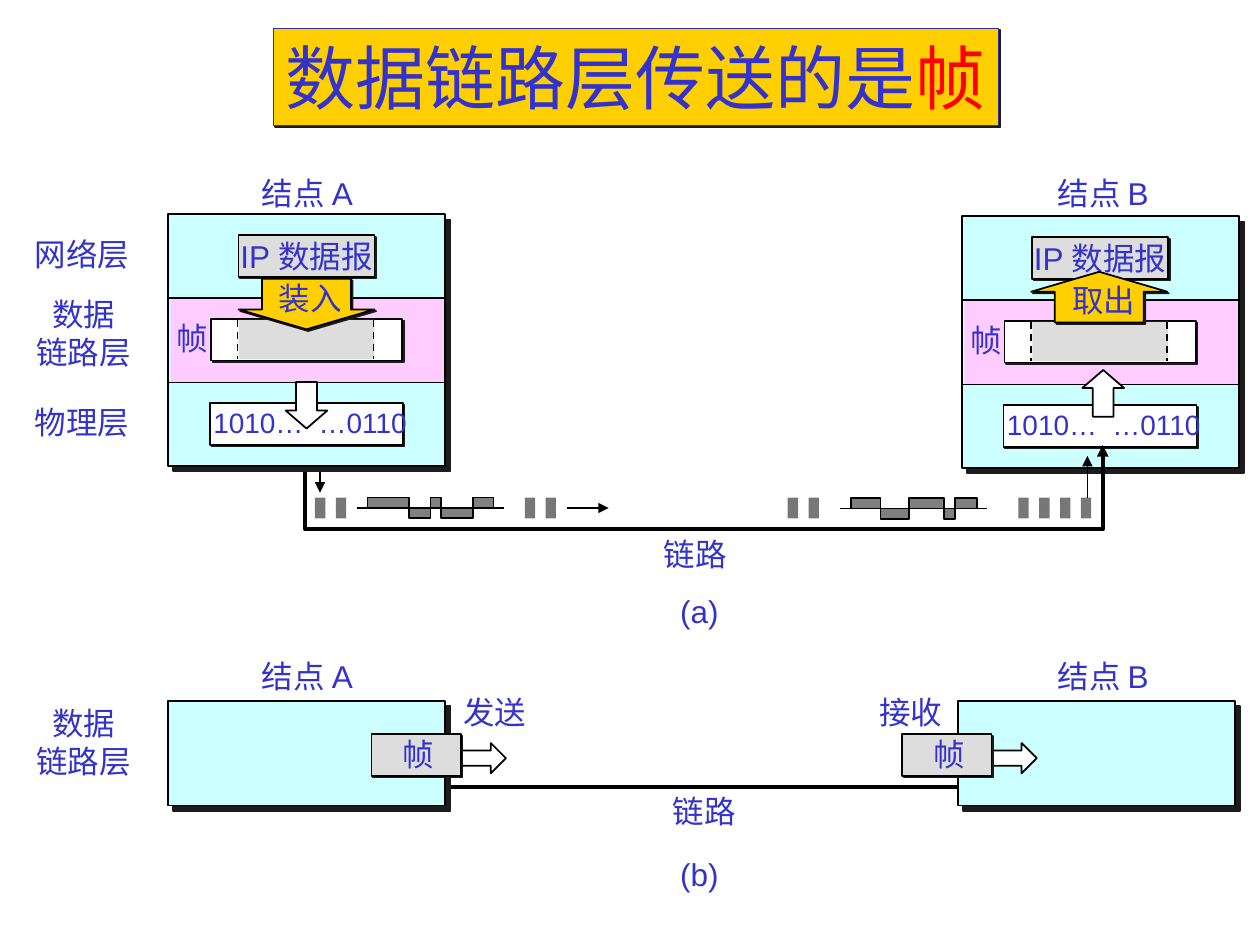
from itertools import pairwise

from lxml.etree import SubElement
from pptx import Presentation
from pptx.dml.color import RGBColor
from pptx.enum.dml import MSO_LINE
from pptx.enum.shapes import MSO_CONNECTOR, MSO_SHAPE
from pptx.enum.text import MSO_ANCHOR, MSO_AUTO_SIZE, PP_ALIGN
from pptx.oxml.ns import qn
from pptx.util import Cm, Pt

BLUE = RGBColor(0x33, 0x33, 0xCC)
NAVY = RGBColor(0x33, 0x33, 0x99)
RED = RGBColor(0xFF, 0x00, 0x00)
BLACK = RGBColor(0x00, 0x00, 0x00)
WHITE = RGBColor(0xFF, 0xFF, 0xFF)
CYAN = RGBColor(0xCC, 0xFF, 0xFF)
PINK = RGBColor(0xFF, 0xCC, 0xFF)
GOLD = RGBColor(0xFF, 0xCF, 0x01)
LIGHT = RGBColor(0xDD, 0xDD, 0xDD)
PULSE = RGBColor(0x77, 0x77, 0x77)
WAVE = RGBColor(0x80, 0x80, 0x80)

NODE_W, NODE_H = 5.59, 5.08
ONE_LINE = 1.02
FRAME = {"auto_size": MSO_AUTO_SIZE.NONE, "word_wrap": False,
         "vertical_anchor": MSO_ANCHOR.TOP}


def add_shadow(sp, dist):
    """Hard dark shadow towards the lower right."""
    effects = sp._element.spPr.find(qn("a:effectLst"))
    shdw = SubElement(effects, qn("a:outerShdw"), dist=str(Pt(dist)),
                      dir="2700000", algn="ctr", rotWithShape="0")
    SubElement(shdw, qn("a:srgbClr"), val="1C1C1C")


def style(sp, fill, line=BLACK, width=1, shadow=0):
    sp.shadow.inherit = False
    if fill is None:
        sp.fill.background()
    else:
        sp.fill.solid()
        sp.fill.fore_color.rgb = fill
    if line is None:
        sp.line.fill.background()
    else:
        sp.line.color.rgb = line
        sp.line.width = Pt(width)
    if shadow:
        add_shadow(sp, shadow)
    return sp


def add_run(p, text, color=BLUE, **font):
    r = p.add_run()
    r.text = text
    for name, value in ({"name": "Arial", "size": Pt(18)} | font).items():
        setattr(r.font, name, value)
    r.font.color.rgb = color


def shape(shapes, x, y, w, h, fill, kind=MSO_SHAPE.RECTANGLE, adj=(), **look):
    sp = shapes.add_shape(kind, Cm(x), Cm(y), Cm(w), Cm(h))
    for i, value in enumerate(adj):
        sp.adjustments[i] = value
    return style(sp, fill, **look)


def label(shapes, text, x, y, w, h=ONE_LINE, align=PP_ALIGN.LEFT, spacing=1, size=18):
    tf = shapes.add_textbox(Cm(x), Cm(y), Cm(w), Cm(h)).text_frame
    for name, value in FRAME.items():
        setattr(tf, name, value)
    tf.auto_size = MSO_AUTO_SIZE.SHAPE_TO_FIT_TEXT
    for i, part in enumerate(text.split("\n")):
        p = tf.add_paragraph() if i else tf.paragraphs[0]
        p.alignment, p.line_spacing = align, spacing
        add_run(p, part, size=Pt(size))


def add_tail(sp):
    SubElement(sp.line._get_or_add_ln(), qn("a:tailEnd"), type="triangle")


def line(shapes, x1, y1, x2, y2, width=1, dash=None, arrow=False):
    c = shapes.add_connector(MSO_CONNECTOR.STRAIGHT, Cm(x1), Cm(y1), Cm(x2), Cm(y2))
    c.line.color.rgb = BLACK
    c.line.width = Pt(width)
    if dash:
        c.line.dash_style = dash
    if arrow:
        add_tail(c)
    SubElement(c._element.spPr, qn("a:effectLst"))


def outline(shapes, points, close):
    (x, y), *rest = [(Cm(a), Cm(b)) for a, b in points]
    builder = shapes.build_freeform(x, y)
    builder.add_line_segments(rest, close=close)
    return builder.convert_to_shape()


def title(s, x, y, w, h):
    sp = s.shapes.title
    sp.left, sp.top, sp.width, sp.height = Cm(x), Cm(y), Cm(w), Cm(h)
    style(sp, GOLD, line=NAVY, width=0.75, shadow=1.4)
    tf = sp.text_frame
    for name, value in (FRAME | {"margin_right": Cm(0.1)}).items():
        setattr(tf, name, value)
    p = tf.paragraphs[0]
    p.alignment = PP_ALIGN.LEFT
    for text, color in (("数据链路层传送的是", BLUE), ("帧", RED)):
        add_run(p, text, color, name="Roboto", size=Pt(40))


def node(shapes, x, y, action, kind, bit_arrow, frame_arrow):
    """Three-layer node; the arrows are offsets from its corner."""
    # Layers
    shape(shapes, x, y, NODE_W, NODE_H, CYAN, shadow=4.2)
    shape(shapes, x + 0.05, y + 1.69, 5.51, 1.7, PINK, line=None)
    for dy in (1.69, 3.39):
        line(shapes, x, y + dy, x + NODE_W, y + dy)
    # Datagram, frame and bits
    shape(shapes, x + 0.86, y + 2.11, 3.86, 0.84, WHITE, shadow=1.4)
    sp = shape(shapes, x + 1.42, y + 0.42, 2.74, 0.84, LIGHT, shadow=1.4)
    sp.text_frame.word_wrap = False
    p = sp.text_frame.paragraphs[0]
    p.alignment = PP_ALIGN.CENTER
    add_run(p, "IP 数据报")
    shape(shapes, x + 0.84, y + 3.81, 3.89, 0.84, WHITE, shadow=1.4)
    label(shapes, "1010…  …0110", x + 0.66, y + 3.84, 4.45, 0.81, spacing=0.85, size=16)
    # Arrows between the layers
    dx, dy = bit_arrow
    shape(shapes, x + dx, y + dy, 0.84, 0.94, WHITE, kind, (0.5, 0.432))
    shape(shapes, x + 1.42, y + 2.13, 2.74, 0.79, LIGHT, line=None)
    dx, dy = frame_arrow
    shape(shapes, x + dx, y + dy, 2.74, ONE_LINE, GOLD, kind, (0.654, 0.394), shadow=1.4)
    label(shapes, "帧", x - 0.08, y + 1.98, 1.16)
    label(shapes, action, x + 1.98, y + 1.19, 1.8)
    for dx in (1.4, 4.14):
        line(shapes, x + dx, y + 2.13, x + dx, y + 2.92, dash=MSO_LINE.DASH)


def signal(s, x, y, edges):
    """Square wave that swings about its axis, starting high."""
    shapes = s.shapes.add_group_shape().shapes
    line(shapes, x, y, x + 2.97, y)
    left = x + 0.22
    points = [(left, y)]
    for i, (a, b) in enumerate(pairwise(edges)):
        level = y + (0.21 if i % 2 else -0.21)
        points += [(left + a, level), (left + b, level)]
    points.append((left + edges[-1], y))
    style(outline(shapes, points, True), WAVE)


def bit_stream(s, y):
    for x, count in ((6.35, 2), (10.58, 2), (15.88, 2), (20.53, 4)):
        for i in range(count):
            shape(s.shapes, x + 0.42 * i, y, 0.21, 0.42, PULSE, line=None)
    line(s.shapes, 11.43, y + 0.21, 12.27, y + 0.21, arrow=True)
    line(s.shapes, 6.45, y - 0.96, 6.45, y - 0.1, arrow=True)
    line(s.shapes, 21.92, y, 21.92, y - 0.84, arrow=True)
    signal(s, 7.19, y + 0.21, (0, 0.84, 1.27, 1.48, 2.12, 2.54))
    signal(s, 16.93, y + 0.22, (0, 0.6, 1.17, 1.88, 2.11, 2.54))


def moving_frame(s, x, y):
    shapes = s.shapes.add_group_shape().shapes
    shape(shapes, x + 1.52, y + 0.18, 1.19, 0.61, WHITE, MSO_SHAPE.RIGHT_ARROW, (0.5, 0.5))
    shape(shapes, x, y, 1.8, 0.84, LIGHT, shadow=1.4)
    label(shapes, "帧", x + 0.38, y - 0.1, 1.16)


def layered_view(s, y):
    node(s.shapes, 19.39, y + 0.04, "取出", MSO_SHAPE.UP_ARROW, (2.43, 3.1), (1.4, 1.12))
    link = [(6.15, 8.97), (6.15, 10.67), (22.23, 10.67), (22.23, 8.97)]
    add_tail(style(outline(s.shapes, link, False), None, width=2.25))
    bit_stream(s, 10.03)
    node(s.shapes, 3.39, y, "装入", MSO_SHAPE.DOWN_ARROW, (2.37, 3.38), (1.42, 1.3))


def link_view(s, y):
    line(s.shapes, 8.71, y + 1.73, 21.95, y + 1.73, width=2.25, arrow=True)
    for x in (3.39, 19.31):
        shape(s.shapes, x, y, NODE_W, 2.11, CYAN, shadow=4.2)
    for x in (7.49, 18.19):
        moving_frame(s, x, y + 0.67)


def labels(s):
    for y in (3.39, 13.12):
        label(s.shapes, "结点 A", 5.03, y, 2.49)
        label(s.shapes, "结点 B", 21.07, y, 2.49)
    for text, y in (("网络层", 4.74), ("物理层", 8.12)):
        label(s.shapes, text, 0.45, y, 2.43, 0.89, spacing=0.85)
    for y in (5.83, 14.07):
        label(s.shapes, "数据\n链路层", 0.47, y, 2.43, 1.78, PP_ALIGN.CENTER)
    for text, x, y in (("链路", 13.13, 10.67), ("链路", 13.31, 15.85),
                       ("发送", 9.09, 13.84), ("接收", 17.48, 13.84)):
        label(s.shapes, text, x, y, 1.8)
    for text, y in (("(a)", 11.81), ("(b)", 17.12)):
        label(s.shapes, text, 13.46, y, 1.4)


def main():
    prs = Presentation()
    prs.slide_width, prs.slide_height = Cm(25.4), Cm(19.05)
    s = prs.slides.add_slide(prs.slide_layouts[5])
    title(s, 5.51, 0.57, 14.62, 1.96)
    layered_view(s, 4.32)
    link_view(s, 14.13)
    labels(s)
    prs.save("out.pptx")


if __name__ == "__main__":
    main()
